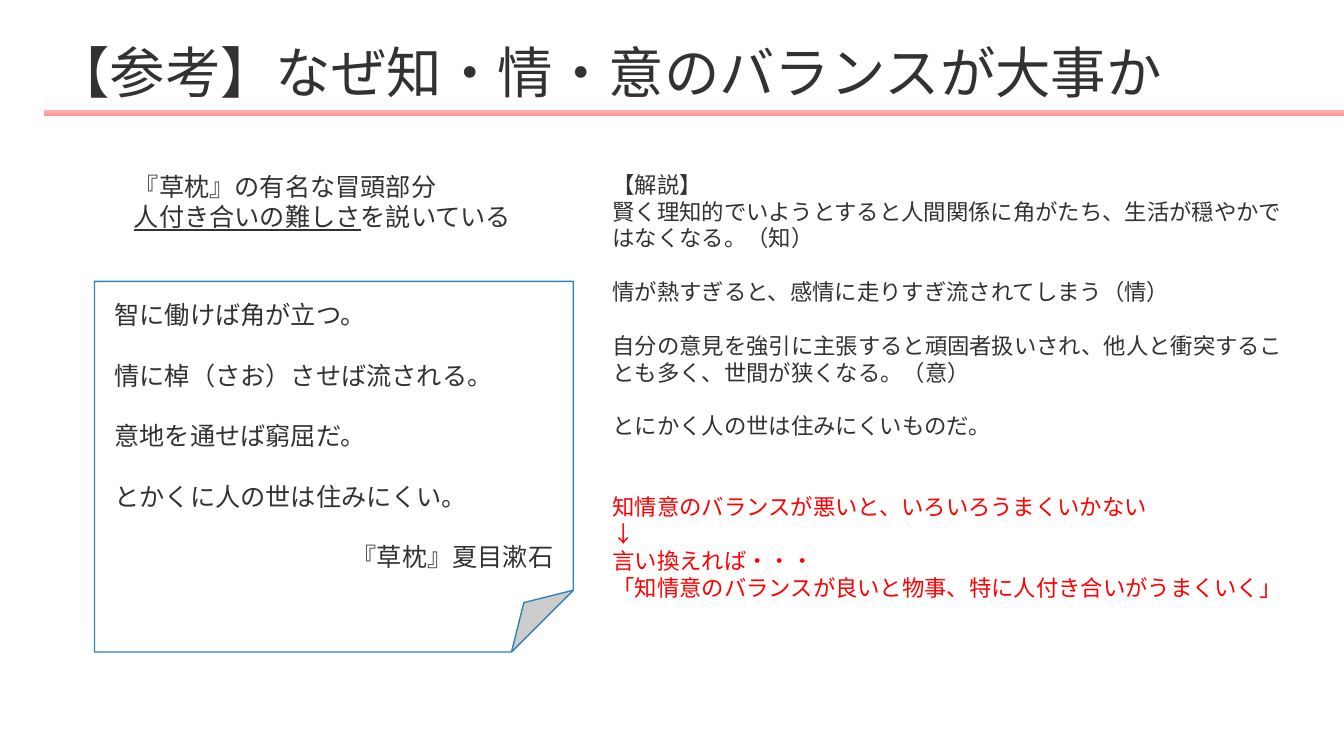
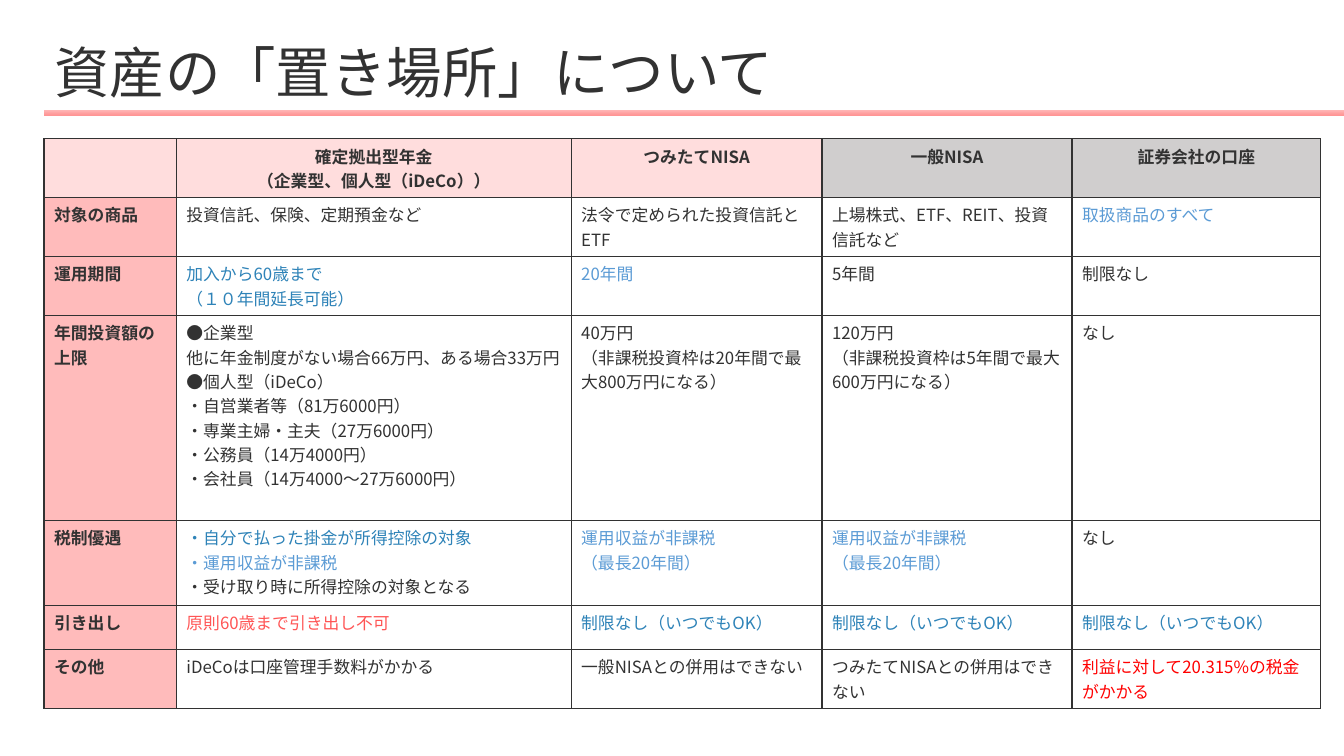
import pptx
import pptx.util
import pptx.dml.color
import pptx.enum.shapes
import pptx.enum.text
import pptx.oxml
import pptx.oxml.ns

FONT = "Noto Sans CJK JP"
INK, WHITE = "323232", "FFFFFF"
BLUE, SKY, RED, CORAL = "2E83B8", "5B9BD5", "FF0000", "FF5555"
PINK, ROSE, GREY = "FFDDDD", "FFBBBB", "D0CECE"
SHAPE = pptx.enum.shapes.MSO_SHAPE
ALIGN = pptx.enum.text.PP_ALIGN
ANCHOR = pptx.enum.text.MSO_ANCHOR
FIT = pptx.enum.text.MSO_AUTO_SIZE
Pt = pptx.util.Pt

# Table content: lines are split at the break, colours follow line by line
HEADS = [
    ("", PINK),
    ("確定拠出型年金\n（企業型、個人型（iDeCo））", PINK),
    ("つみたてNISA", PINK),
    ("一般NISA", GREY),
    ("証券会社の口座", GREY),
]
FREE = ("運用収益が非課税\n（最長20年間）", SKY)
OPEN = ("制限なし（いつでもOK）", BLUE)
ROWS = [
    ("対象の商品", [
        ("投資信託、保険、定期預金など", INK),
        ("法令で定められた投資信託とETF", INK),
        ("上場株式、ETF、REIT、投資信託など", INK),
        ("取扱商品のすべて", SKY)]),
    ("運用期間", [
        ("加入から60歳まで\n（１０年間延長可能）", BLUE),
        ("20年間", SKY),
        ("5年間", INK),
        ("制限なし", INK)]),
    ("年間投資額の上限", [
        ("●企業型\n他に年金制度がない場合66万円、ある場合33万円\n"
         "●個人型（iDeCo）\n・自営業者等（81万6000円）\n"
         "・専業主婦・主夫（27万6000円）\n・公務員（14万4000円）\n"
         "・会社員（14万4000～27万6000円）", INK),
        ("40万円\n（非課税投資枠は20年間で最大800万円になる）", INK),
        ("120万円\n（非課税投資枠は5年間で最大600万円になる）", INK),
        ("なし", INK)]),
    ("税制優遇", [
        ("・自分で払った掛金が所得控除の対象\n・運用収益が非課税\n"
         "・受け取り時に所得控除の対象となる", BLUE, SKY, INK),
        FREE, FREE, ("なし", INK)]),
    ("引き出し", [("原則60歳まで引き出し不可", CORAL), OPEN, OPEN, OPEN]),
    ("その他", [
        ("iDeCoは口座管理手数料がかかる", INK),
        ("一般NISAとの併用はできない", INK),
        ("つみたてNISAとの併用はできない", INK),
        ("利益に対して20.315%の税金がかかる", RED)]),
]
WIDTHS = [126, 376, 239, 238, 237]
HEIGHTS = [56, 56, 56, 195, 81, 42, 56]


def px(num):
    return pptx.util.Emu(num * 9525)


def box(*nums):
    return [px(num) for num in nums]


def hue(code):
    return pptx.dml.color.RGBColor.from_string(code)


def apply(item, form):
    for key, val in form.items():
        setattr(item, key, val)


def paint(fill, code):
    fill.solid()
    fill.fore_color.rgb = hue(code)


def put(para, text, size, code=INK, **form):
    run = para.add_run()
    run.text = text
    apply(run.font, {"name": FONT, "size": Pt(size), **form})
    run.font.color.rgb = hue(code)
    # East Asian text takes its own font entry
    face = pptx.oxml.parse_xml(
        f'<a:ea {pptx.oxml.ns.nsdecls("a")} typeface="{FONT}"/>')
    run.font._element.append(face)


def paras(frame, count):
    return [frame.paragraphs[0]] + [frame.add_paragraph()
                                    for _ in range(count - 1)]


def prose(frame, lines, size):
    """Each line is (text, colour, lines of gap before)."""
    pitch = size * 1.2
    for para, (text, code, gap) in zip(paras(frame, len(lines)), lines):
        apply(para, {"alignment": ALIGN.LEFT, "line_spacing": Pt(pitch)})
        if gap:
            para.space_before = Pt(pitch * gap)
        if text:
            put(para, text, size, code)
    return frame.paragraphs


def label(slide, area, lines, size):
    frame = slide.shapes.add_textbox(*box(*area)).text_frame
    frame.word_wrap = True
    return prose(frame, lines, size)


# Title and band shared by the slides
def page(deck, text):
    slide = deck.slides.add_slide(deck.slide_layouts[5])
    band = slide.shapes.add_shape(SHAPE.RECTANGLE, *box(42, 105, 1238, 5))
    band.shadow.inherit = False
    band.line.fill.background()
    band.fill.gradient()
    band.fill.gradient_angle = 270
    for stop, code in zip(band.fill.gradient_stops, ("FFB4B4", "FF9595")):
        stop.color.rgb = hue(code)
    title = slide.shapes.title
    apply(title, dict(zip(("left", "top", "width", "height"),
                          box(42, 37, 1203, 70))))
    apply(title.text_frame, {"auto_size": FIT.NONE, "word_wrap": True,
                             "vertical_anchor": ANCHOR.MIDDLE})
    para = title.text_frame.paragraphs[0]
    apply(para, {"alignment": ALIGN.LEFT, "line_spacing": 0.9})
    put(para, text, 39.6)
    return slide


def note(slide, area, lines, size):
    card = slide.shapes.add_shape(SHAPE.FOLDED_CORNER, *box(*area))
    card.shadow.inherit = False
    paint(card.fill, WHITE)
    card.line.color.rgb = hue(BLUE)
    card.line.width = Pt(1)
    frame = card.text_frame
    sides = ("left", "right", "top", "bottom")
    apply(frame, {f"margin_{side}": px(19) for side in sides})
    apply(frame, {"word_wrap": True, "vertical_anchor": ANCHOR.MIDDLE})
    prose(frame, lines, size)[-1].alignment = ALIGN.RIGHT


# Table parts
def edge(cell):
    props = cell._tc.get_or_add_tcPr()
    for side in "LRTB":
        props.append(pptx.oxml.parse_xml(
            f'<a:ln{side} {pptx.oxml.ns.nsdecls("a")} w="12700"><a:solidFill>'
            f'<a:srgbClr val="{INK}"/></a:solidFill></a:ln{side}>'))


def write(cell, text, codes, back, bold=False, align=ALIGN.LEFT):
    edge(cell)
    paint(cell.fill, back)
    lines = text.split("\n")
    codes = list(codes) + [codes[-1]] * len(lines)
    for para, line, code in zip(paras(cell.text_frame, len(lines)),
                                lines, codes):
        para.alignment = align
        if line:
            put(para, line, 12, code, bold=bold)


def grid(slide, left, top):
    area = box(left, top, sum(WIDTHS), sum(HEIGHTS))
    table = slide.shapes.add_table(len(HEIGHTS), len(WIDTHS), *area).table
    apply(table, {"first_row": False, "horz_banding": False})
    for col, wide in zip(table.columns, WIDTHS):
        col.width = px(wide)
    for row, high in zip(table.rows, HEIGHTS):
        row.height = px(high)
    for col, (text, back) in enumerate(HEADS):
        write(table.cell(0, col), text, [INK], back, True, ALIGN.CENTER)
    for row, (name, cells) in enumerate(ROWS, 1):
        write(table.cell(row, 0), name, [INK], ROSE, True)
        for col, (text, *codes) in enumerate(cells, 1):
            write(table.cell(row, col), text, codes, WHITE)


def main():
    deck = pptx.Presentation()
    apply(deck, {"slide_width": px(1280), "slide_height": px(720)})

    # Quotation and comment
    slide = page(deck, "【参考】なぜ知・情・意のバランスが大事か")
    note(slide, (90, 268, 456, 353), [
        ("智に働けば角が立つ。", INK, 0),
        ("情に棹（さお）させば流される。", INK, 1),
        ("意地を通せば窮屈だ。", INK, 1),
        ("とかくに人の世は住みにくい。", INK, 1),
        ("『草枕』夏目漱石", INK, 1)], 18)
    label(slide, (574, 158, 670, 423), [
        ("【解説】", INK, 0),
        ("賢く理知的でいようとすると人間関係に角がたち、"
         "生活が穏やかではなくなる。（知）", INK, 0),
        ("情が熱すぎると、感情に走りすぎ流されてしまう（情）", INK, 1),
        ("自分の意見を強引に主張すると頑固者扱いされ、"
         "他人と衝突することも多く、世間が狭くなる。（意）", INK, 1),
        ("とにかく人の世は住みにくいものだ。", INK, 1),
        ("知情意のバランスが悪いと、いろいろうまくいかない", RED, 2),
        ("↓", RED, 0),
        ("言い換えれば・・・", RED, 0),
        ("「知情意のバランスが良いと物事、特に人付き合いがうまくいく」",
         RED, 0)], 16)
    intro = label(slide, (118, 158, 420, 68), [
        ("『草枕』の有名な冒頭部分", INK, 0), ("", INK, 0)], 18)
    put(intro[1], "人付き合いの難しさ", 18, underline=True)
    put(intro[1], "を説いている", 18)

    # Comparison of accounts
    grid(page(deck, "資産の「置き場所」について"), 42, 132)
    deck.save("out.pptx")


if __name__ == "__main__":
    main()
